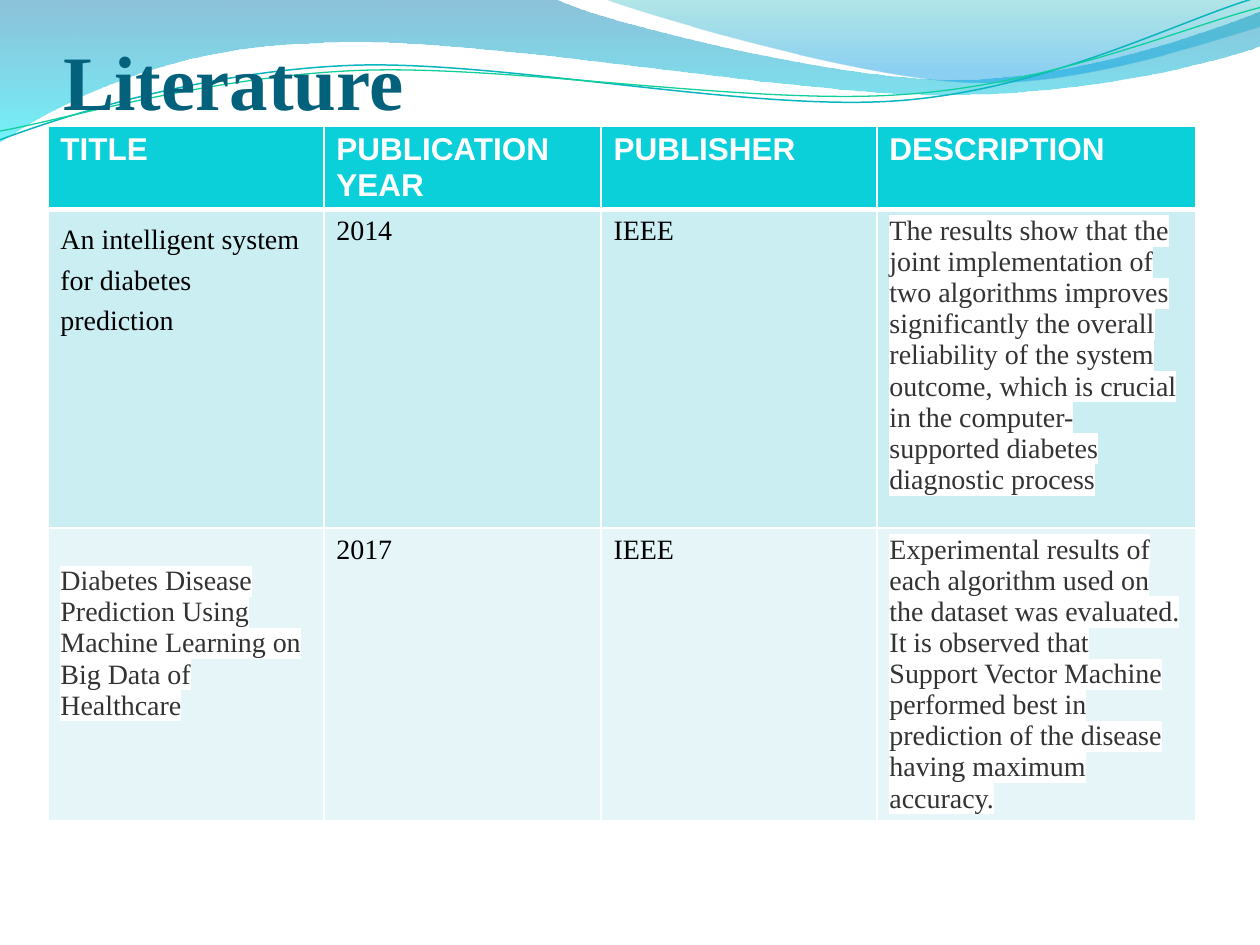
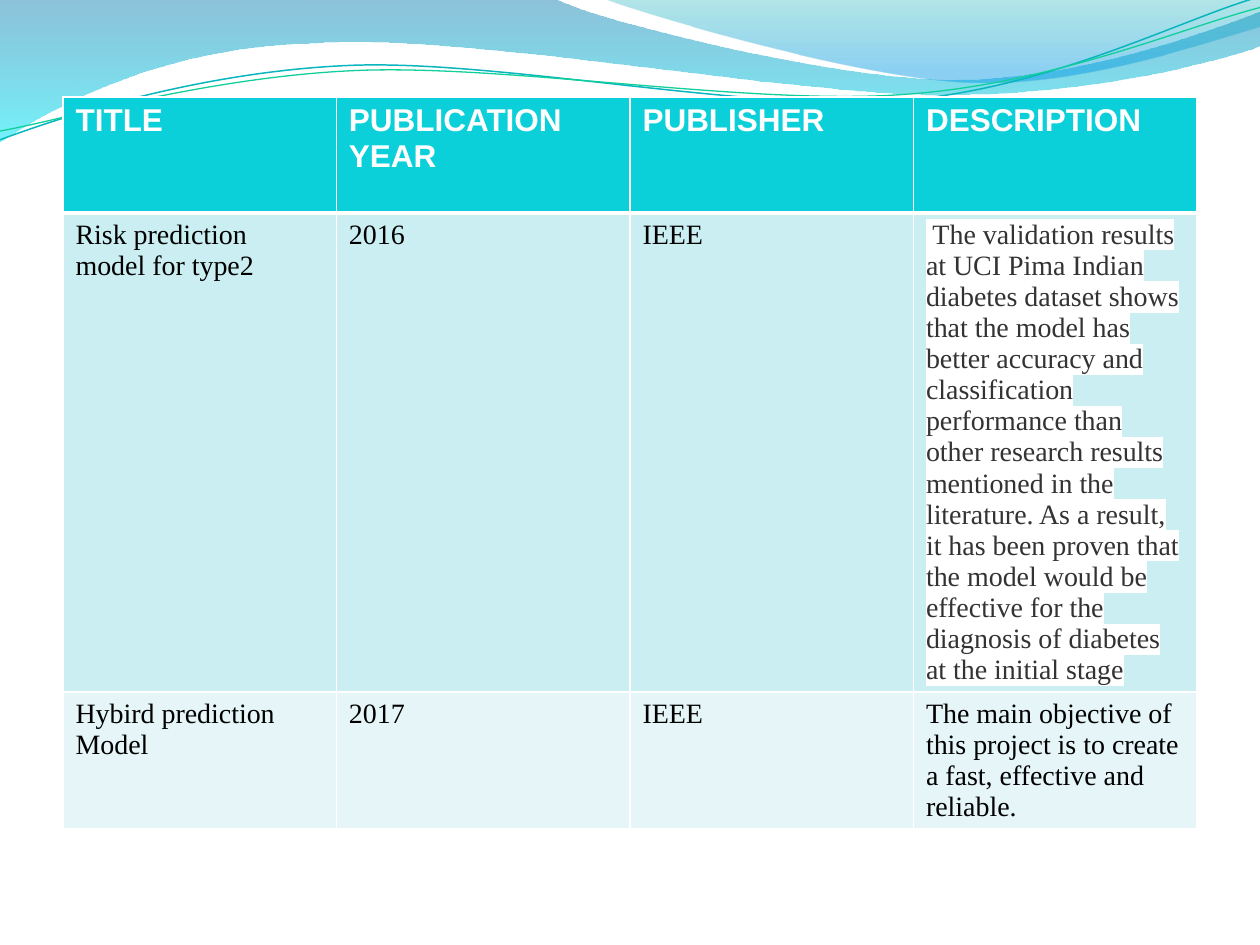
from lxml.etree import SubElement
from pptx import Presentation
from pptx.dml.color import RGBColor
from pptx.enum.text import MSO_ANCHOR, PP_ALIGN
from pptx.oxml.ns import qn
from pptx.util import Inches, Pt

HUES = {
    "title": "04617B", "head": "0BD0D9", "odd": "CAEEF1", "even": "E6F6F8",
    "white": "FFFFFF", "black": "000000", "gray": "333333",
    "blue": "0079AD", "cyan": "00E9F7", "teal": "00ABB4", "sky": "0099E4",
    "aqua": "09B6BE", "green": "10CF9B",
}
SERIF, SANS = "Times New Roman", "Arial"

# Bands: start point, then lines (x, y) or curves (two controls and an end);
# each gradient stop is (place, colour, opacity in percent)
BANDS = [
    ([(0, 0), (4.4, -0.01), (4.76, 0.17, 6.64, 0.63, 7.58, 0.63),
      (8.53, 0.63, 9.58, 0.26, 10, 0.09), (10.01, 0.36),
      (9.83, 0.44, 8.7, 0.76, 7.46, 0.75), (6.22, 0.75, 3.82, 0.28, 2.57, 0.34),
      (1.29, 0.36, 0.46, 0.83, -0.01, 1.13), (0, 0)],
     [(0, "blue", 45), (1, "cyan", 55)]),
    ([(4.79, -0.01), (5.09, 0.11, 6.82, 0.62, 7.69, 0.65),
      (8.56, 0.69, 9.61, 0.32, 10, 0.21), (10, 0), (4.79, -0.01)],
     [(0, "teal", 30), (0.8, "sky", 45)]),
]
# Thin waves: outline, colour, width
WAVES = [
    ([(0, 1.11), (0.48, 0.93, 1.58, 0.57, 2.77, 0.52),
      (3.95, 0.47, 5.93, 0.89, 7.13, 0.8), (8.33, 0.71, 9.38, 0.15, 9.98, -0.02)],
     "aqua", 0.85),
    ([(0, 1.04), (0.47, 0.96, 1.64, 0.61, 2.83, 0.56),
      (4.03, 0.51, 5.97, 0.84, 7.17, 0.75), (8.36, 0.67, 9.41, 0.21, 10, 0.06)],
     "green", 0.75),
]
HEADS = ["TITLE", "PUBLICATION YEAR", "PUBLISHER", "DESCRIPTION"]


def rgb(name):
    return RGBColor.from_string(HUES[name])


def pairs(part):
    return [(Inches(x), Inches(y)) for x, y in zip(part[::2], part[1::2])]


class Deck:
    def __init__(self):
        self.prs = Presentation()
        self.prs.slide_width, self.prs.slide_height = Inches(10), Inches(7.5)
        self.slide = None

    def page(self, title=None):
        first = self.slide is None
        layout = self.prs.slide_layouts[5 if title else 6]
        self.slide = self.prs.slides.add_slide(layout)
        if first:
            self.master()
        if title:
            self.title(title)

    def master(self):
        """Draw the bands and waves once, on the slide master."""
        shapes = [self.band(*band) for band in BANDS]
        shapes += [self.wave(*wave) for wave in WAVES]
        tree = self.prs.slide_master.shapes._spTree
        for place, shape in enumerate(shapes, 2):
            tree.insert(place, shape._element)

    def shape(self, outline, close):
        spots = [spot for part in outline for spot in pairs(part)]
        pen = self.slide.shapes.build_freeform(*spots[0])
        pen.add_line_segments(spots[1:], close=close)
        shape = pen.convert_to_shape()
        shape.shadow.inherit = False
        # Join each three points of a curve into one Bezier segment
        lines = shape._element.spPr.iter(qn("a:lnTo"))
        lines = iter(list(lines))
        for part in outline[1:]:
            line = next(lines)
            if len(part) == 6:
                line.tag = qn("a:cubicBezTo")
                for _ in range(2):
                    extra = next(lines)
                    line.append(extra[0])
                    extra.getparent().remove(extra)
        return shape

    def band(self, outline, stops):
        shape = self.shape(outline, True)
        shape.fill.gradient()
        shape.fill.gradient_angle = 270
        for stop, (place, hue, _) in zip(shape.fill.gradient_stops, stops):
            stop.position = place
            stop.color.rgb = rgb(hue)
        tints = shape._element.spPr.iter(qn("a:srgbClr"))
        for tint, (_, _, shown) in zip(tints, stops):
            SubElement(tint, qn("a:alpha"), val=str(shown * 1000))
        shape.line.fill.background()
        return shape

    def wave(self, outline, hue, width):
        shape = self.shape(outline, False)
        shape.fill.background()
        shape.line.color.rgb = rgb(hue)
        shape.line.width = Pt(width)
        return shape

    def text(self, para, words, size, font, hue, bold=False, mark=False):
        run = para.add_run()
        run.text = words
        run.font.size, run.font.bold = Pt(size), bold
        run.font.color.rgb = rgb(hue)
        if mark:
            props = run._r.get_or_add_rPr()
            light = SubElement(props, qn("a:highlight"))
            SubElement(light, qn("a:srgbClr"), val=HUES["white"])
        run.font.name = font

    def title(self, words):
        box = self.slide.shapes.title
        box.left, box.top = Inches(0.5), Inches(0.1)
        box.width, box.height = Inches(9), Inches(0.9)
        frame = box.text_frame
        frame.margin_left = frame.margin_right = frame.margin_bottom = 0
        frame.margin_top = Inches(0.05)
        frame.vertical_anchor = MSO_ANCHOR.BOTTOM
        para = frame.paragraphs[0]
        para.alignment = PP_ALIGN.LEFT
        self.text(para, words, 44, SERIF, "title", bold=True)

    def edges(self, cell, top, bottom):
        props = cell._tc.get_or_add_tcPr()
        sides = {"L": 1, "R": 1, "T": top, "B": bottom}
        for place, (side, width) in enumerate(sides.items()):
            line = SubElement(props, qn("a:ln" + side), w=str(Pt(width)))
            fill = SubElement(line, qn("a:solidFill"))
            SubElement(fill, qn("a:srgbClr"), val=HUES["white"])
            props.insert(place, line)

    def cell(self, cell, lines, row, mark=False, gap=None, top=0.05):
        cell.fill.solid()
        cell.fill.fore_color.rgb = rgb(("head", "odd", "even")[row])
        self.edges(cell, 3 if row == 1 else 1, 3 if row == 0 else 1)
        cell.margin_left = cell.margin_right = Inches(0.1)
        cell.margin_top, cell.margin_bottom = Inches(top), Inches(0.05)
        frame = cell.text_frame
        for place, words in enumerate(lines.split("\n")):
            para = frame.add_paragraph() if place else frame.paragraphs[0]
            if gap:
                para.line_spacing = gap
            if row:
                self.text(para, words, 16, SERIF, "gray" if mark else "black", mark=mark)
            else:
                self.text(para, words, 18, SANS, "white", bold=True)

    def table(self, left, top, widths, heights, rows, styles):
        """Fill a table; styles maps (row, column) to cell options."""
        frame = self.slide.shapes.add_table(
            len(heights), len(widths), Inches(left), Inches(top),
            Inches(sum(widths)), Inches(sum(heights)))
        grid = frame.table
        for col, width in zip(grid.columns, widths):
            col.width = Inches(width)
        for r, (height, row) in enumerate(zip(heights, [HEADS] + rows)):
            grid.rows[r].height = Inches(height)
            for c, lines in enumerate(row):
                self.cell(grid.cell(r, c), lines, r, **styles.get((r, c), {}))


def main():
    deck = Deck()

    # First part of the survey
    deck.page("Literature")
    deck.table(0.38, 1, [2.19, 2.2, 2.19, 2.53], [0.44, 2.53, 1.96], [
        ["An intelligent system\nfor diabetes prediction", "2014", "IEEE",
         "The results show that the joint implementation of two algorithms "
         "improves significantly the overall reliability of the system outcome, "
         "which is crucial in the computer-supported diabetes diagnostic process"],
        ["Diabetes Disease Prediction Using Machine Learning on Big Data of Healthcare",
         "2017", "IEEE",
         "Experimental results of each algorithm used on the dataset was evaluated. "
         "It is observed that Support Vector Machine performed best in prediction "
         "of the disease having maximum accuracy."],
    ], {(1, 0): {"gap": 1.3}, (1, 3): {"mark": True},
        (2, 0): {"mark": True, "top": 0.3}, (2, 3): {"mark": True}})

    # Second part of the survey
    deck.page()
    deck.table(0.5, 0.77, [2.17, 2.33, 2.25, 2.25], [0.92, 0.41, 0.41], [
        ["Risk prediction\nmodel for type2", "2016", "IEEE",
         " The validation results at UCI Pima Indian diabetes dataset shows that "
         "the model has better accuracy and classification performance than other "
         "research results mentioned in the literature. As a result, it has been "
         "proven that the model would be effective for the diagnosis of diabetes "
         "at the initial stage"],
        ["Hybird prediction\nModel", "2017", "IEEE",
         "The main objective of this project is to create a fast, effective "
         "and reliable."],
    ], {(1, 3): {"mark": True}})

    deck.prs.save("out.pptx")


if __name__ == "__main__":
    main()
